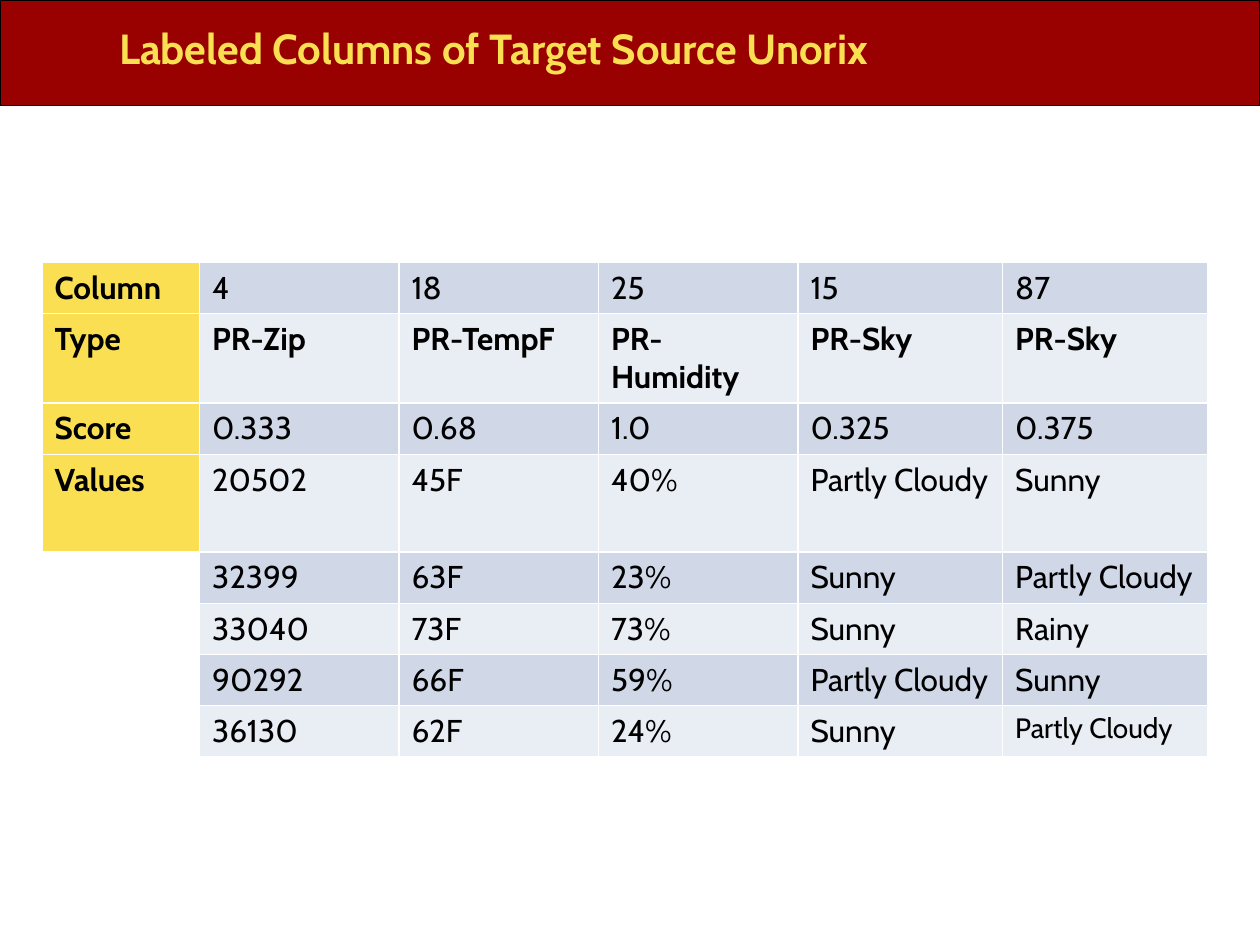
from dataclasses import dataclass

from lxml import etree
from pptx import Presentation
from pptx.dml.color import RGBColor
from pptx.enum.shapes import MSO_SHAPE
from pptx.enum.text import MSO_ANCHOR, MSO_AUTO_SIZE, PP_ALIGN
from pptx.oxml.ns import qn
from pptx.util import Pt

RECT = MSO_SHAPE.RECTANGLE
MIDDLE = MSO_ANCHOR.MIDDLE
CENTER = PP_ALIGN.CENTER
NO_AUTOFIT = MSO_AUTO_SIZE.NONE

RED = RGBColor(0x99, 0x00, 0x00)
YELLOW = RGBColor(0xFB, 0xDF, 0x53)
BLACK = RGBColor(0x00, 0x00, 0x00)
WHITE = RGBColor(0xFF, 0xFF, 0xFF)
BANDS = (RGBColor(0xD0, 0xD8, 0xE8), RGBColor(0xE9, 0xED, 0xF4))

FONT = "Cabin"
ROW_HEIGHT = 29.2
COLUMN_WIDTHS = (90, 114, 114, 114, 117, 117)


@dataclass
class Row:
    label: str
    values: tuple[str, ...]
    bold: bool = False
    height: float = ROW_HEIGHT
    last_size: float = 18


ROWS = (
    Row("Column", ("4", "18", "25", "15", "87")),
    Row("Type", ("PR-Zip", "PR-TempF", "PR-Humidity", "PR-Sky", "PR-Sky"), bold=True),
    Row("Score", ("0.333", "0.68", "1.0", "0.325", "0.375")),
    Row("Values", ("20502", "45F", "40%", "Partly Cloudy", "Sunny"), height=56),
    Row("", ("32399", "63F", "23%", "Sunny", "Partly Cloudy")),
    Row("", ("33040", "73F", "73%", "Sunny", "Rainy")),
    Row("", ("90292", "66F", "59%", "Partly Cloudy", "Sunny")),
    Row("", ("36130", "62F", "24%", "Sunny", "Partly Cloudy"), last_size=16),
)


def add_text(p, text: str, size: float, color: RGBColor, bold: bool) -> None:
    r = p.add_run()
    r.text = text
    r.font.name = FONT
    r.font.size = Pt(size)
    r.font.bold = bold
    r.font.color.rgb = color


def add_borders(cell, color: RGBColor, width: float) -> None:
    tc_pr = cell._tc.get_or_add_tcPr()
    for side in ("lnL", "lnR", "lnT", "lnB"):
        ln = etree.SubElement(tc_pr, qn(f"a:{side}"), w=str(Pt(width)))
        fill = etree.SubElement(ln, qn("a:solidFill"))
        etree.SubElement(fill, qn("a:srgbClr"), val=str(color))


def fill_cell(cell, text: str, fill: RGBColor, bold: bool, size: float = 18) -> None:
    add_borders(cell, WHITE, 1)
    cell.fill.solid()
    cell.fill.fore_color.rgb = fill
    if text:
        add_text(cell.text_frame.paragraphs[0], text, size, BLACK, bold)


def add_header(slide, width: int) -> None:
    sp = slide.shapes.add_shape(RECT, 0, 0, width, Pt(60.5))
    sp.shadow.inherit = False
    sp.fill.solid()
    sp.fill.fore_color.rgb = RED
    sp.line.color.rgb = BLACK
    sp.line.width = Pt(0.75)
    title = slide.shapes.title
    title._element.addprevious(sp._element)
    title.left, title.top, title.width, title.height = Pt(12), Pt(-3), Pt(540), Pt(60)
    tf = title.text_frame
    tf.auto_size = NO_AUTOFIT
    tf.vertical_anchor = MIDDLE
    p = tf.paragraphs[0]
    p.alignment = CENTER
    add_text(p, "Labeled Columns of Target Source Unorix", 24, YELLOW, True)


def add_column_table(slide, rows: tuple[Row, ...]) -> None:
    frame = slide.shapes.add_table(
        len(rows), len(COLUMN_WIDTHS), Pt(24), Pt(150),
        Pt(sum(COLUMN_WIDTHS)), Pt(sum(row.height for row in rows)))
    table = frame.table
    for column, width in zip(table.columns, COLUMN_WIDTHS):
        column.width = Pt(width)
    for i, row in enumerate(rows):
        table.rows[i].height = Pt(row.height)
        fill_cell(table.cell(i, 0), row.label, YELLOW if row.label else WHITE, True)
        for j, value in enumerate(row.values, start=1):
            size = row.last_size if j == len(row.values) else 18
            fill_cell(table.cell(i, j), value, BANDS[i % 2], row.bold, size)


def main() -> None:
    prs = Presentation()
    prs.slide_width, prs.slide_height = Pt(720), Pt(540)
    slide = prs.slides.add_slide(prs.slide_layouts[5])
    add_header(slide, prs.slide_width)
    add_column_table(slide, ROWS)
    prs.save("out.pptx")


if __name__ == "__main__":
    main()
